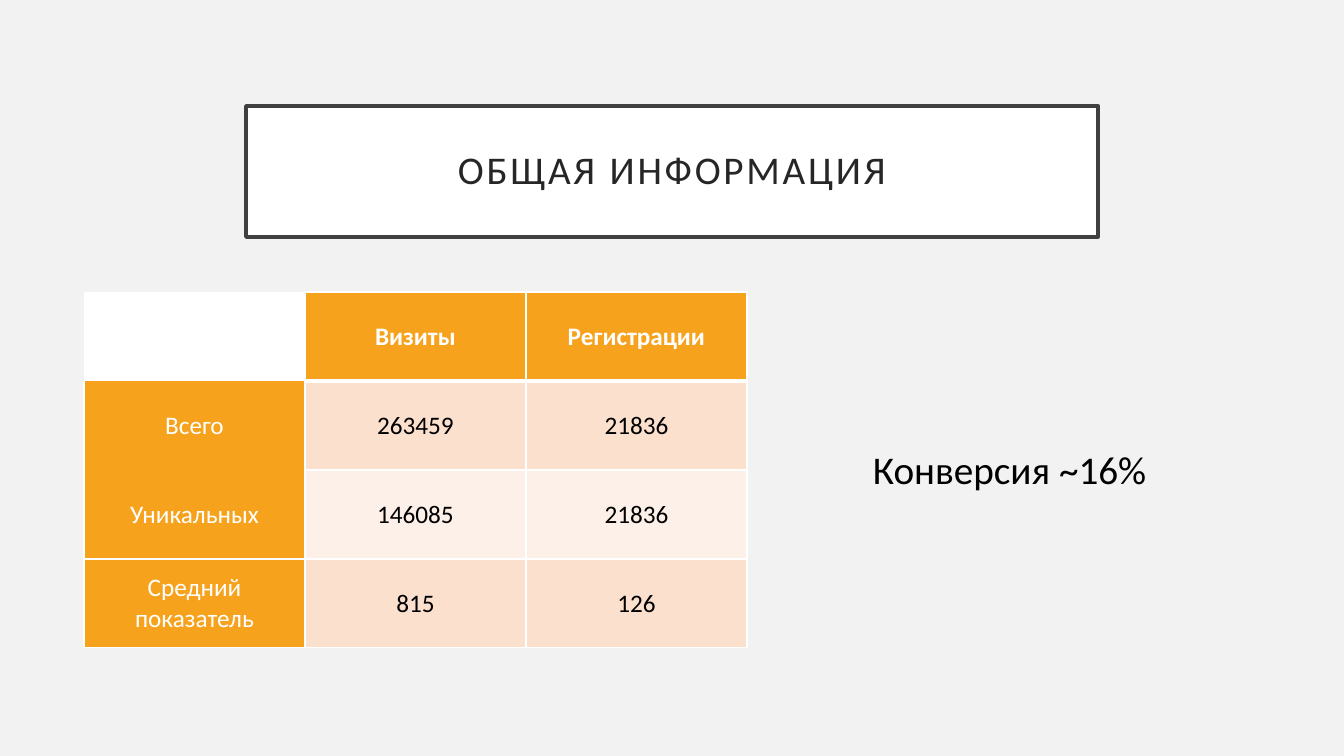
import pptx
import pptx.util
import pptx.dml.color
import pptx.enum.text
import pptx.oxml
import pptx.oxml.ns

RGB = pptx.dml.color.RGBColor
Pt = pptx.util.Pt
ALIGN = pptx.enum.text.PP_ALIGN
MIDDLE = pptx.enum.text.MSO_ANCHOR.MIDDLE
FIT = pptx.enum.text.MSO_AUTO_SIZE

GREY = RGB(0xF2, 0xF2, 0xF2)
WHITE = RGB(0xFF, 0xFF, 0xFF)
BLACK = RGB(0, 0, 0)
FRAME = RGB(0x40, 0x40, 0x40)
INK = RGB(0x26, 0x26, 0x26)
ORANGE = RGB(0xF6, 0xA2, 0x1D)
PEACH = RGB(0xFB, 0xE0, 0xCD)
CREAM = RGB(0xFD, 0xF0, 0xE8)
SCALE = 914400 / 100.8


def px(*sizes):
    return [round(size * SCALE) for size in sizes]


def write(frame, text, size, color, align, bold=False):
    para = frame.paragraphs[0]
    para.alignment = align
    run = para.add_run()
    run.text = text
    run.font.name = "Calibri"
    run.font.size = Pt(size)
    run.font.bold = bold
    run.font.color.rgb = color
    return run


deck = pptx.Presentation()
deck.slide_width, deck.slide_height = px(1344, 756)
slide = deck.slides.add_slide(deck.slide_layouts[5])
slide.background.fill.solid()
slide.background.fill.fore_color.rgb = GREY

title = slide.shapes.title
title.left, title.top, title.width, title.height = px(246, 106, 852, 131)
title.fill.solid()
title.fill.fore_color.rgb = WHITE
title.line.color.rgb = FRAME
title.line.width = Pt(2.5)
frame = title.text_frame
frame.word_wrap = True
frame.auto_size = FIT.NONE
frame.vertical_anchor = MIDDLE
frame.margin_left, frame.margin_top, frame.margin_right, frame.margin_bottom = px(20, 20, 20, 20)
run = write(frame, "ОБЩАЯ ИНФОРМАЦИЯ", 28, INK, ALIGN.CENTER)
run.font._element.set("spc", "200")
frame.paragraphs[0].line_spacing = 0.9

rows = [
    ["", "Визиты", "Регистрации"],
    ["Всего", "263459", "21836"],
    ["Уникальных", "146085", "21836"],
    ["Средний показатель", "815", "126"],
]
table = slide.shapes.add_table(4, 3, *px(84, 292, 663, 356)).table
for col in table.columns:
    col.width = px(221)[0]
for r, texts in enumerate(rows):
    table.rows[r].height = px(89)[0]
    for c, text in enumerate(texts):
        cell = table.cell(r, c)
        cell.vertical_anchor = MIDDLE
        edges = {"L": 1, "R": 1, "T": 1, "B": 1}
        if r == 0 and c > 0:
            edges["B"] = 3
        elif r == 1:
            edges["T"] = 3 if c else 0
        if c == 0 and r == 1:
            edges["B"] = 0
        if c == 0 and r == 2:
            edges["T"] = 0
        if c == 0 and r == 0:
            edges = dict.fromkeys(edges, 0)
        props = cell._tc.get_or_add_tcPr()
        for side, width in edges.items():
            paint = f'<a:solidFill><a:srgbClr val="{WHITE}"/></a:solidFill>' if width else "<a:noFill/>"
            props.append(pptx.oxml.parse_xml(
                f'<a:ln{side} {pptx.oxml.ns.nsdecls("a")} w="{Pt(width)}">{paint}</a:ln{side}>'))
        head = r == 0 or c == 0
        cell.fill.solid()
        if head:
            cell.fill.fore_color.rgb = ORANGE if r or c else WHITE
        else:
            cell.fill.fore_color.rgb = PEACH if r % 2 else CREAM
        if text:
            write(cell.text_frame, text, 18, WHITE if head else BLACK, ALIGN.CENTER, r == 0)

note = slide.shapes.add_textbox(*px(863, 440, 318, 57)).text_frame
note.word_wrap = True
note.auto_size = FIT.SHAPE_TO_FIT_TEXT
write(note, "Конверсия ~16%", 28, BLACK, ALIGN.LEFT)

deck.save("out.pptx")
